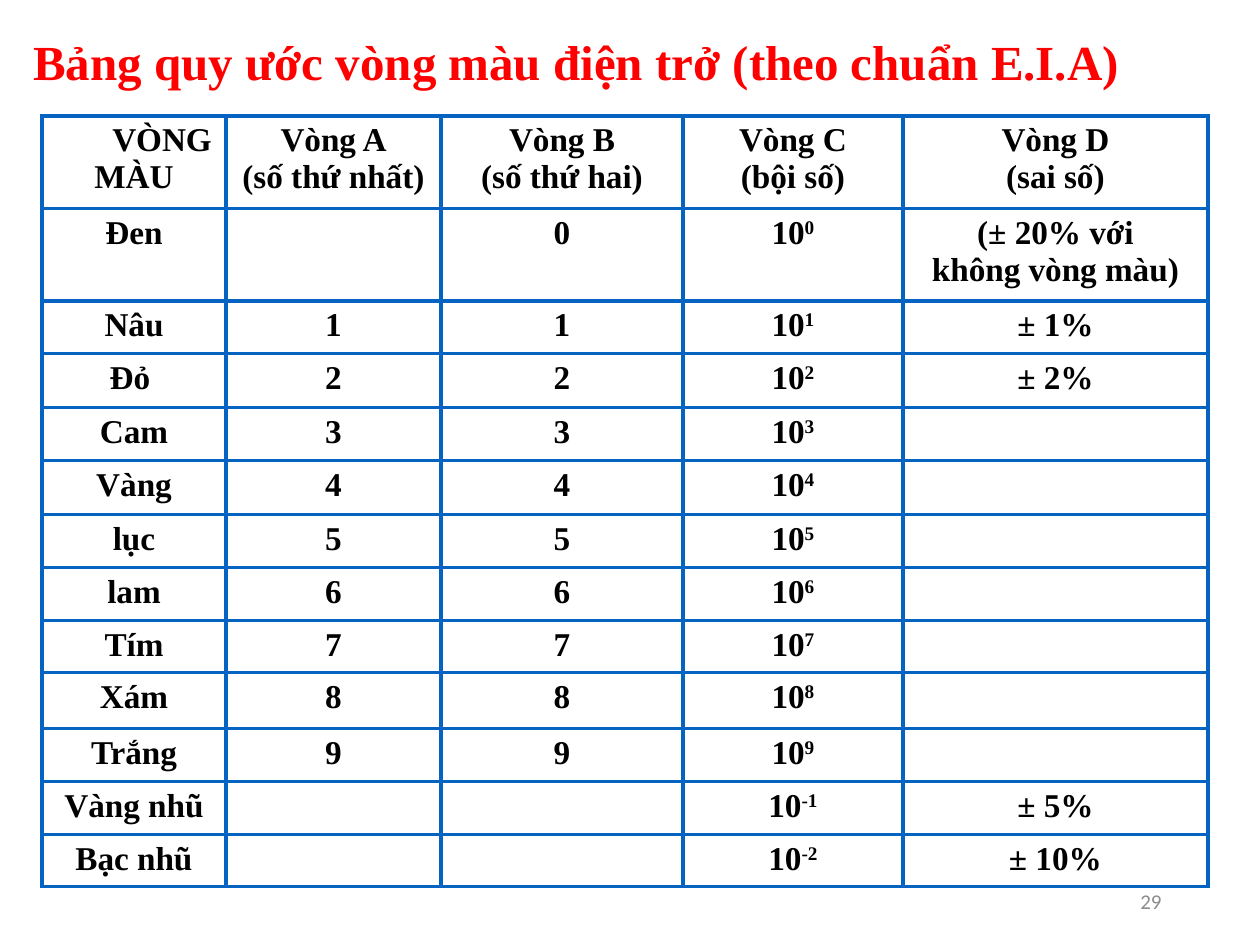
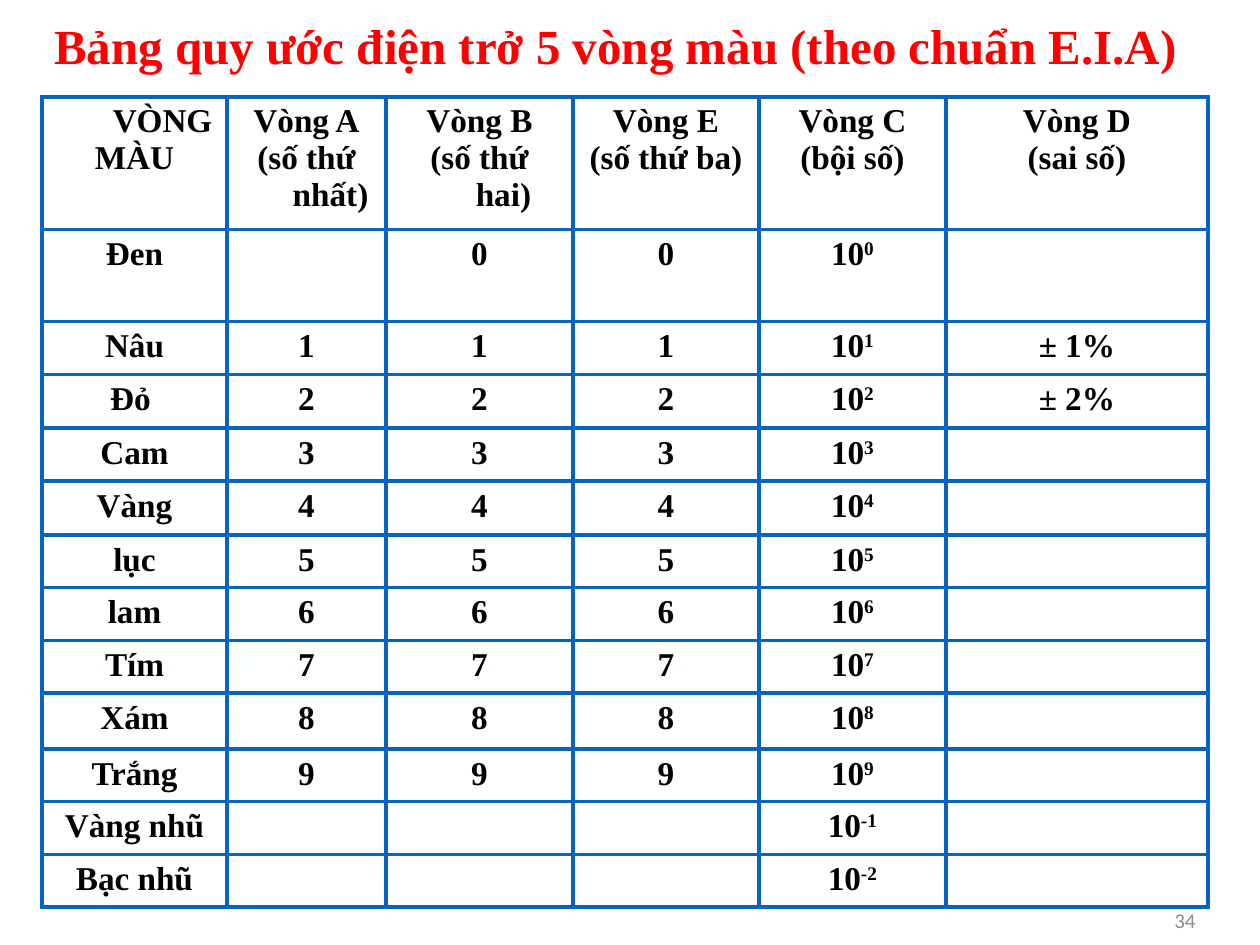
from dataclasses import dataclass

from lxml.etree import SubElement
from pptx import Presentation
from pptx.dml.color import RGBColor
from pptx.enum.text import MSO_ANCHOR, PP_ALIGN
from pptx.oxml.ns import qn
from pptx.slide import Slide
from pptx.table import _Cell
from pptx.text.text import TextFrame
from pptx.util import Emu, Pt

EMU_PER_INCH = 914400
PX_PER_INCH = 126


@dataclass(frozen=True)
class Theme:
    """Colours, fonts and type sizes of both slides."""

    title: str = "FF0000"
    body: str = "000000"
    number: str = "8C8C8C"
    grid: str = "0563C1"
    serif: str = "Times New Roman"
    sans: str = "Calibri"
    title_pt: int = 28
    body_pt: int = 19
    number_pt: int = 12
    grid_pt: float = 2.25
    hanging: int = 48
    corner_shift: int = 56


@dataclass(frozen=True)
class Box:
    """A rectangle in px."""

    left: int
    top: int
    width: int
    height: int

    def emu(self) -> tuple[Emu, Emu, Emu, Emu]:
        """Return the four lengths in EMU."""
        return px(self.left), px(self.top), px(self.width), px(self.height)


@dataclass(frozen=True)
class ColourCodePage:
    """One slide with a resistor colour code table."""

    title: str
    title_box: Box
    table_left: int
    table_top: int
    column_widths: list[int]
    header_height: int
    rings: list[str]
    digit_rings: int
    tolerances: dict[str, str]
    number: str
    number_box: Box


THEME = Theme()
CORNER = "VÒNG\nMÀU"
DIGIT_COLOURS = ["Đen", "Nâu", "Đỏ ", "Cam", "Vàng", "lục", "lam", "Tím", "Xám", "Trắng"]
METALLIC_EXPONENTS = {"Vàng nhũ": -1, "Bạc nhũ": -2}
COLOUR_HEIGHTS = [92, 53, 54, 53, 54, 52, 53, 52, 56, 52, 53, 52]
RING_A = "Vòng A\n(số thứ nhất)"
RING_B = "Vòng B\n(số thứ hai)"
RING_E = "Vòng E\n(số thứ ba)"
RING_C = "Vòng C\n(bội số)"
RING_D = "Vòng D\n(sai số)"

PAGES = [
    ColourCodePage(
        title="Bảng quy ước vòng màu điện trở (theo chuẩn E.I.A)",
        title_box=Box(21, 32, 1187, 66),
        table_left=42,
        table_top=116,
        column_widths=[184, 215, 242, 220, 305],
        header_height=92,
        rings=[RING_A, RING_B, RING_C, RING_D],
        digit_rings=2,
        tolerances={
            "Đen": "(± 20% với\nkhông vòng màu)",
            "Nâu": "± 1%",
            "Đỏ ": "± 2%",
            "Vàng nhũ": "± 5%",
            "Bạc nhũ": "± 10%",
        },
        number="29",
        number_box=Box(890, 876, 284, 50),
    ),
    ColourCodePage(
        title="Bảng quy ước điện trở 5 vòng màu (theo chuẩn E.I.A)",
        title_box=Box(42, 16, 1187, 66),
        table_left=42,
        table_top=97,
        column_widths=[185, 159, 187, 186, 187, 262],
        header_height=132,
        rings=[RING_A, RING_B, RING_E, RING_C, RING_D],
        digit_rings=3,
        tolerances={"Nâu": "± 1%", "Đỏ ": "± 2%"},
        number="34",
        number_box=Box(924, 895, 284, 50),
    ),
]


def px(length: int) -> Emu:
    """Turn px into EMU."""
    return Emu(round(length * EMU_PER_INCH / PX_PER_INCH))


def write_text(
    frame: TextFrame,
    text: str,
    *,
    size: int = THEME.body_pt,
    font: str = THEME.serif,
    colour: str = THEME.body,
    bold: bool = True,
    align: PP_ALIGN = PP_ALIGN.CENTER,
    hanging: int = THEME.hanging,
    first_shift: int = 0,
    line_spacing: float | None = None,
) -> None:
    """Write one paragraph per line, raising what follows a caret."""
    for index, line in enumerate(text.split("\n")):
        paragraph = frame.add_paragraph() if index else frame.paragraphs[0]
        paragraph.alignment = align
        if line_spacing:
            paragraph.line_spacing = line_spacing
        shifted = first_shift and index == 0
        properties = paragraph._p.get_or_add_pPr()
        properties.set("marL", str(px(first_shift if shifted else hanging)))
        properties.set("indent", str(px(0 if shifted else -hanging)))
        for raised, part in enumerate(line.split("^")):
            run = paragraph.add_run()
            run.text = part
            run.font.size = Pt(size)
            run.font.name = font
            run.font.bold = bold
            run.font.color.rgb = RGBColor.from_string(colour)
            if raised:
                run.font._element.set("baseline", "30000")


def add_label(slide: Slide, box: Box, text: str, *, anchor: MSO_ANCHOR, **text_format) -> None:
    """Add a wrapped text box."""
    frame = slide.shapes.add_textbox(*box.emu()).text_frame
    frame.word_wrap = True
    frame.vertical_anchor = anchor
    write_text(frame, text, **text_format)


def outline_cell(cell: _Cell) -> None:
    """Give a cell its four grid lines and no fill."""
    properties = cell._tc.get_or_add_tcPr()
    for side in ("a:lnL", "a:lnR", "a:lnT", "a:lnB"):
        edge = SubElement(properties, qn(side), w=str(Pt(THEME.grid_pt)))
        fill = SubElement(edge, qn("a:solidFill"))
        SubElement(fill, qn("a:srgbClr"), val=THEME.grid)
    cell.fill.background()


def colour_rows(page: ColourCodePage) -> list[list[str]]:
    """Work out digits, multiplier and tolerance of each colour."""
    rows = []
    for digit, colour in enumerate(DIGIT_COLOURS):
        digits = [str(digit)] * page.digit_rings
        if digit == 0:
            digits[0] = ""
        rows.append([colour, *digits, f"10^{digit}", page.tolerances.get(colour, "")])
    for colour, exponent in METALLIC_EXPONENTS.items():
        blanks = [""] * page.digit_rings
        rows.append([colour, *blanks, f"10^{exponent}", page.tolerances.get(colour, "")])
    return rows


def add_colour_table(slide: Slide, page: ColourCodePage) -> None:
    """Add the table of rings and colours."""
    rows = [[CORNER, *page.rings], *colour_rows(page)]
    heights = [page.header_height, *COLOUR_HEIGHTS]
    area = Box(page.table_left, page.table_top, sum(page.column_widths), sum(heights))
    table = slide.shapes.add_table(len(rows), len(rows[0]), *area.emu()).table
    table.first_row = False
    table.horz_banding = False
    for column, width in zip(table.columns, page.column_widths):
        column.width = px(width)
    for row, height, texts in zip(table.rows, heights, rows):
        row.height = px(height)
        for cell, text in zip(row.cells, texts):
            outline_cell(cell)
            if text:
                shift = THEME.corner_shift if text == CORNER else 0
                write_text(cell.text_frame, text, first_shift=shift)


def add_page(presentation: Presentation, page: ColourCodePage) -> None:
    """Add one slide with title, table and number."""
    slide = presentation.slides.add_slide(presentation.slide_layouts[6])
    add_label(
        slide,
        page.title_box,
        page.title,
        anchor=MSO_ANCHOR.TOP,
        size=THEME.title_pt,
        colour=THEME.title,
        align=PP_ALIGN.LEFT,
        line_spacing=0.9,
    )
    add_colour_table(slide, page)
    add_label(
        slide,
        page.number_box,
        page.number,
        anchor=MSO_ANCHOR.MIDDLE,
        size=THEME.number_pt,
        font=THEME.sans,
        colour=THEME.number,
        bold=False,
        align=PP_ALIGN.RIGHT,
        hanging=0,
    )


def main() -> None:
    """Build and save the presentation."""
    presentation = Presentation()
    presentation.slide_width = px(1260)
    presentation.slide_height = px(945)
    for page in PAGES:
        add_page(presentation, page)
    presentation.save("out.pptx")


if __name__ == "__main__":
    main()
